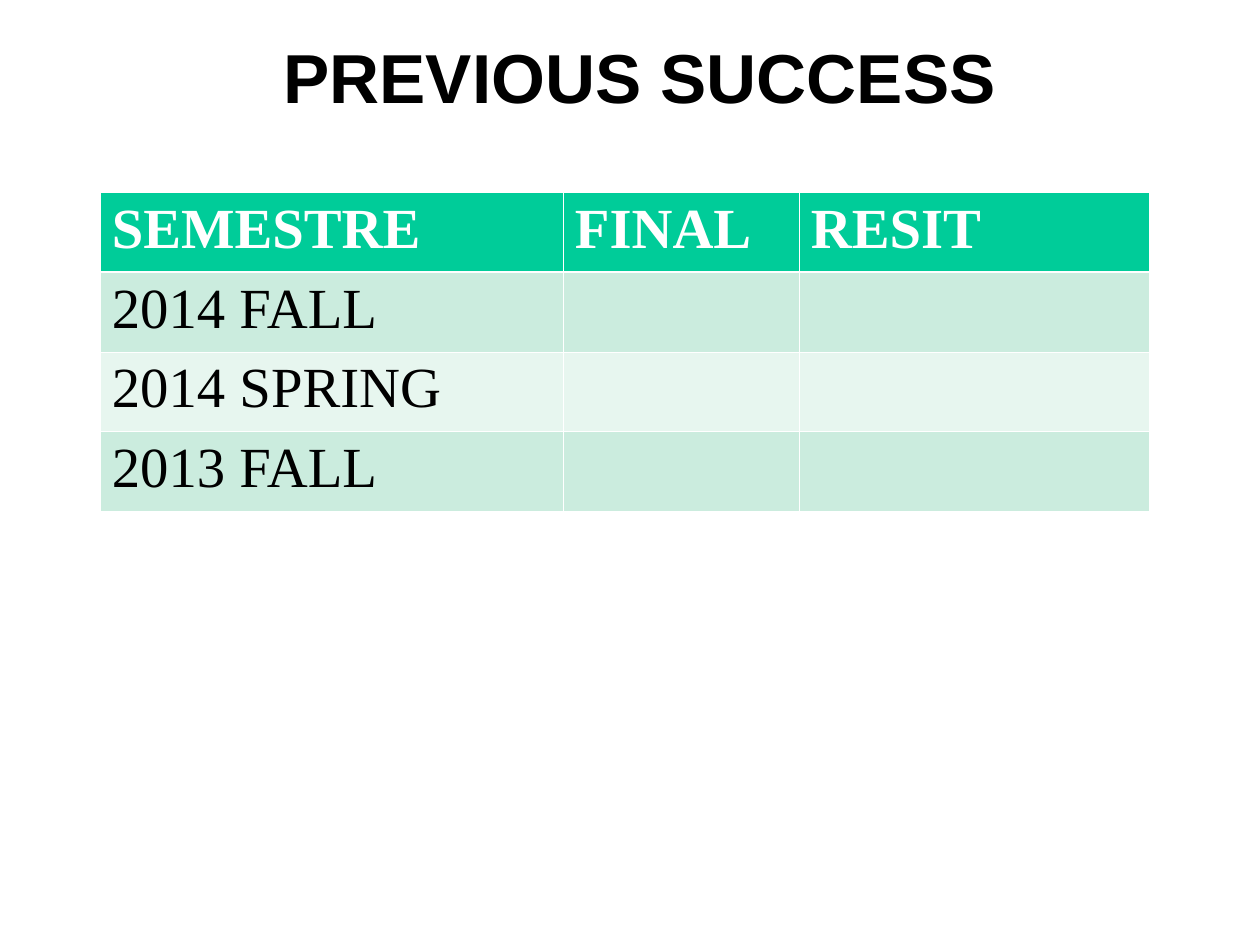
"""Build the slide that lists previous success by semester."""
import lxml.etree
import pptx
import pptx.dml.color
import pptx.enum.text
import pptx.oxml.ns
import pptx.util

BLACK = pptx.dml.color.RGBColor(0x00, 0x00, 0x00)
WHITE = pptx.dml.color.RGBColor(0xFF, 0xFF, 0xFF)
GREEN = pptx.dml.color.RGBColor(0x00, 0xCC, 0x99)
MINT = pptx.dml.color.RGBColor(0xCB, 0xEC, 0xDE)
PALE_MINT = pptx.dml.color.RGBColor(0xE7, 0xF6, 0xEF)

SEMESTERS = [
    ("SEMESTRE", "FINAL", "RESIT"),
    ("2014 FALL", "", ""),
    ("2014 SPRING", "", ""),
    ("2013 FALL", "", ""),
]


class SlideBuilder:
    """Hold the style and the current slide; lengths are percent of its size."""

    heading_font = "Arial"
    table_font = "Times New Roman"
    thin_border = 0.45
    header_border = 1.47

    def __init__(self, presentation):
        self.width = presentation.slide_width
        self.height = presentation.slide_height
        self.slide = presentation.slides.add_slide(presentation.slide_layouts[6])

    def across(self, percent):
        return round(self.width * percent / 100)

    def down(self, percent):
        return round(self.height * percent / 100)

    def style(self, paragraph, family, size, color, bold):
        paragraph.font.name = family
        paragraph.font.size = pptx.util.Pt(size)
        paragraph.font.color.rgb = color
        paragraph.font.bold = bold

    def title(self, wording, left, top, width, height):
        heading = self.slide.shapes.add_textbox(
            self.across(left), self.down(top), self.across(width), self.down(height)
        ).text_frame
        heading.word_wrap = True
        heading.vertical_anchor = pptx.enum.text.MSO_ANCHOR.MIDDLE
        heading.margin_left = heading.margin_right = 0
        heading.margin_top = heading.margin_bottom = 0
        paragraph = heading.paragraphs[0]
        paragraph.text = wording
        paragraph.alignment = pptx.enum.text.PP_ALIGN.CENTER
        paragraph.line_spacing = 0.95
        self.style(paragraph, self.heading_font, 44, BLACK, True)

    def borders(self, cell, top, bottom):
        properties = cell._tc.get_or_add_tcPr()
        sides = {"L": self.thin_border, "R": self.thin_border, "T": top, "B": bottom}
        for side, points in sides.items():
            line = lxml.etree.SubElement(
                properties, pptx.oxml.ns.qn(f"a:ln{side}"), w=str(pptx.util.Pt(points))
            )
            fill = lxml.etree.SubElement(line, pptx.oxml.ns.qn("a:solidFill"))
            lxml.etree.SubElement(fill, pptx.oxml.ns.qn("a:srgbClr"), val=str(WHITE))

    def table(self, rows, left, top, column_widths, row_height):
        grid = self.slide.shapes.add_table(
            len(rows), len(column_widths), self.across(left), self.down(top),
            self.across(sum(column_widths)), self.down(row_height * len(rows)),
        ).table
        for column, width in zip(grid.columns, column_widths):
            column.width = self.across(width)
        for row_index, wordings in enumerate(rows):
            is_header = row_index == 0
            band = GREEN if is_header else MINT if row_index % 2 else PALE_MINT
            above = self.header_border if row_index == 1 else self.thin_border
            below = self.header_border if is_header else self.thin_border
            grid.rows[row_index].height = self.down(row_height)
            for column_index, wording in enumerate(wordings):
                cell = grid.cell(row_index, column_index)
                self.borders(cell, above, below)
                cell.fill.solid()
                cell.fill.fore_color.rgb = band
                cell.text = wording
                self.style(
                    cell.text_frame.paragraphs[0], self.table_font, 36,
                    WHITE if is_header else BLACK, is_header,
                )


def main():
    presentation = pptx.Presentation()
    presentation.slide_width = pptx.util.Pt(799.9)
    presentation.slide_height = pptx.util.Pt(600.13)
    builder = SlideBuilder(presentation)
    builder.title("PREVIOUS SUCCESS", left=8.73, top=3, width=84.16, height=10.91)
    builder.table(
        SEMESTERS, left=7.98, top=20.4,
        column_widths=(36.75, 18.73, 27.74), row_height=8.42,
    )
    presentation.save("out.pptx")


if __name__ == "__main__":
    main()
